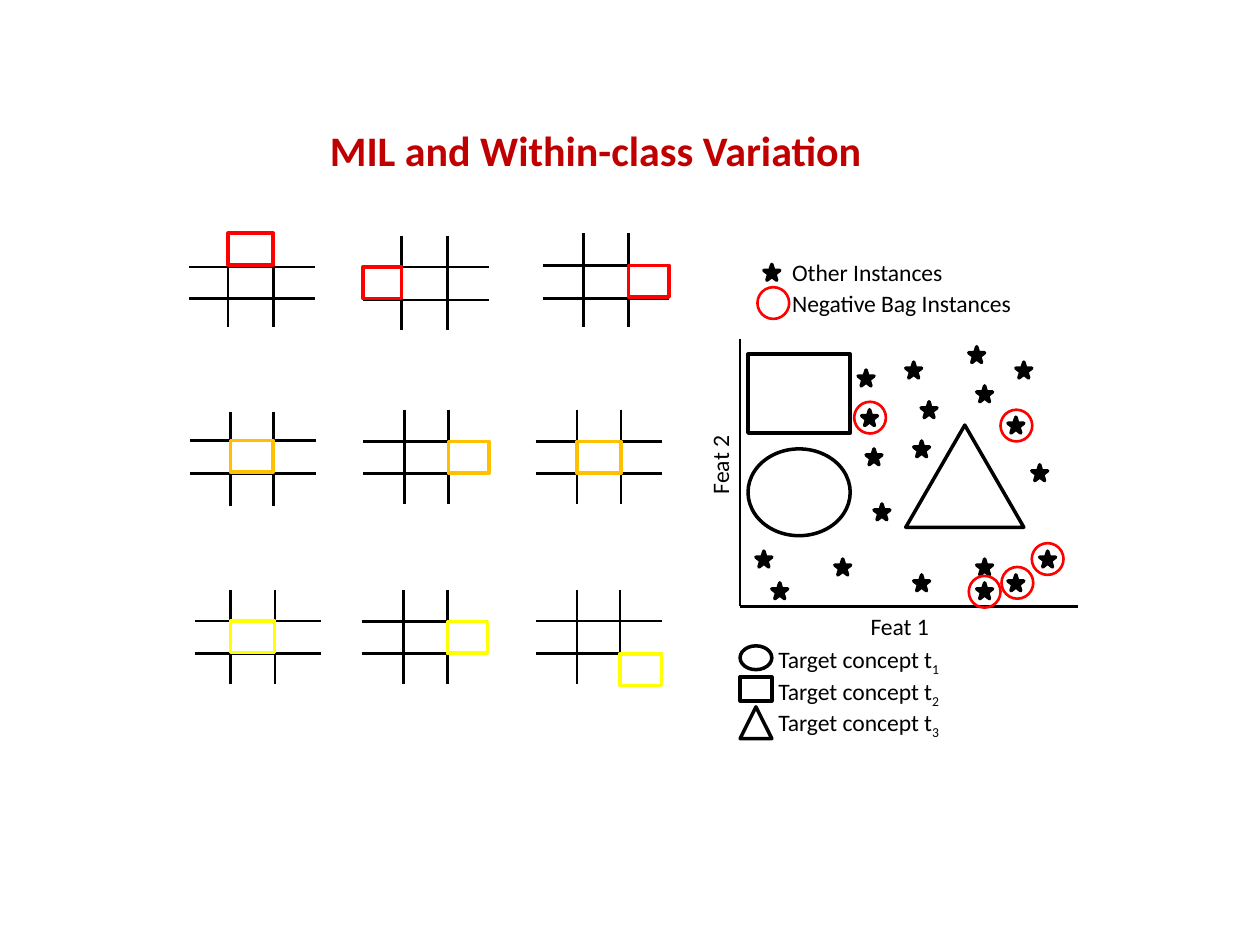
"""Build the slide on multiple instance learning and within-class variation."""
from lxml.etree import SubElement
from pptx import Presentation
from pptx.dml.color import RGBColor
from pptx.enum.shapes import MSO_CONNECTOR, MSO_SHAPE
from pptx.enum.text import MSO_ANCHOR, MSO_AUTO_SIZE, PP_ALIGN
from pptx.oxml.ns import qn
from pptx.util import Cm, Pt

BLACK, RED, ORANGE, YELLOW = "000000", "FF0000", "FFC000", "FFFF00"
STAR_SIZE, RING_SIZE = 0.32, 0.64
GRID_WIDTH, GRID_HEIGHT, CELL_HEIGHT = 2.54, 1.9, 0.64

# left, top, vertical bars, horizontal bars, marked column and row, colour
GRIDS = [
    (3.81, 4.7, (4.6, 5.51), (5.38, 6.02), 1, 0, RED),
    (7.32, 4.75, (8.1, 9.02), (5.38, 6.05), 0, 1, RED),
    (10.95, 4.7, (11.76, 12.67), (5.35, 6.02), 2, 1, RED),
    (3.84, 8.31, (4.65, 5.51), (8.88, 9.55), 1, 1, ORANGE),
    (7.32, 8.26, (8.15, 9.04), (8.9, 9.55), 2, 1, ORANGE),
    (10.8, 8.26, (11.63, 12.52), (8.9, 9.55), 1, 1, ORANGE),
    (3.94, 11.89, (4.65, 5.54), (12.52, 13.18), 1, 1, YELLOW),
    (7.29, 11.89, (8.13, 9.02), (12.53, 13.18), 2, 1, YELLOW),
    (10.8, 11.89, (11.63, 12.5), (12.52, 13.18), 2, 2, YELLOW),
]
STARS = [
    (15.4, 5.33), (17.3, 7.46), (17.62, 10.16), (19.53, 6.99), (15.56, 11.75),
    (18.42, 11.59), (20.32, 8.41), (18.57, 8.1), (17.46, 9.05), (16.83, 11.27),
    (20.32, 11.59), (18.26, 7.3), (19.69, 11.75), (20.96, 11.11),
    (19.69, 11.27), (20.48, 7.3), (19.69, 7.78), (20.8, 9.37), (18.42, 8.89),
    (15.24, 11.11), (17.37, 8.26),
]
RINGS = [(17.22, 8.1), (19.53, 11.61), (20.17, 8.26), (20.8, 10.95),
         (20.19, 11.43), (15.27, 5.79)]
CONCEPTS = [
    (MSO_SHAPE.OVAL, (15.08, 9.05, 2.06, 1.75)),
    (MSO_SHAPE.RECTANGLE, (15.08, 7.14, 2.06, 1.59)),
    (MSO_SHAPE.ISOSCELES_TRIANGLE, (18.26, 8.57, 2.38, 2.06)),
]
CONCEPT_KEYS = [(13.02, 0.48), (13.65, 0.48), (14.25, 0.64)]
LABELS = [
    ("Other Instances", 15.72, 5.08, 3.58, 0),
    ("Negative Bag Instances", 15.72, 5.69, 5, 0),
    ("Feat 1", 17.3, 12.22, 1.7, 0),
    ("Feat 2", 13.67, 8.94, 1.7, 270),
]


def colour(hex_string):
    return RGBColor.from_string(hex_string)


def write(paragraph, text, size=13.5, color=BLACK, bold=False, baseline=0):
    run = paragraph.add_run()
    run.text = text
    run.font.name = "Calibri"
    run.font.size = Pt(size)
    run.font.bold = bold
    run.font.color.rgb = colour(color)
    if baseline:
        run._r.get_or_add_rPr().set("baseline", str(baseline * 1000))


class Painter:
    def __init__(self, slide):
        self.slide = slide

    def title(self, text):
        shape = self.slide.shapes.title
        shape.left, shape.top = Cm(4.39), Cm(2.39)
        shape.width, shape.height = Cm(15.24), Cm(1.27)
        shape.fill.solid()
        shape.fill.fore_color.rgb = colour("FFFFFF")
        shape.text_frame.vertical_anchor = MSO_ANCHOR.MIDDLE
        paragraph = shape.text_frame.paragraphs[0]
        paragraph.alignment = PP_ALIGN.CENTER
        write(paragraph, text, size=24, color="C00000", bold=True)

    def line(self, x1, y1, x2, y2):
        connector = self.slide.shapes.add_connector(
            MSO_CONNECTOR.STRAIGHT, Cm(x1), Cm(y1), Cm(x2), Cm(y2))
        connector.line.color.rgb = colour(BLACK)
        connector.line.width = Pt(1.5)
        SubElement(connector._element.spPr, qn("a:effectLst"))

    def shape(self, kind, left, top, width, height, color=BLACK, weight=2, fill=None):
        shape = self.slide.shapes.add_shape(
            kind, Cm(left), Cm(top), Cm(width), Cm(height))
        shape.shadow.inherit = False
        shape.line.color.rgb = colour(color)
        shape.line.width = Pt(weight)
        if fill:
            shape.fill.solid()
            shape.fill.fore_color.rgb = colour(fill)
        else:
            shape.fill.background()

    def label(self, text, left, top, width, rotation=0, subscript=""):
        shape = self.slide.shapes.add_textbox(
            Cm(left), Cm(top), Cm(width), Cm(0.84))
        shape.rotation = rotation
        shape.text_frame.word_wrap = False
        shape.text_frame.auto_size = MSO_AUTO_SIZE.SHAPE_TO_FIT_TEXT
        paragraph = shape.text_frame.paragraphs[0]
        write(paragraph, text)
        if subscript:
            write(paragraph, subscript, baseline=-25)

    def grid(self, left, top, verticals, horizontals, column, row, color):
        right = left + GRID_WIDTH
        for x in verticals:
            self.line(x, top, x, top + GRID_HEIGHT)
        for y in horizontals:
            self.line(left, y, right, y)
        edges = (left, *verticals, right)
        cell_top = (top, *horizontals)[row]
        self.shape(MSO_SHAPE.RECTANGLE, edges[column], cell_top,
                   edges[column + 1] - edges[column], CELL_HEIGHT, color)


def main():
    presentation = Presentation()
    presentation.slide_width, presentation.slide_height = Cm(25.4), Cm(19.05)
    painter = Painter(presentation.slides.add_slide(presentation.slide_layouts[5]))
    painter.title("MIL and Within-class Variation")
    for grid in GRIDS:
        painter.grid(*grid)
    painter.line(14.92, 6.83, 14.92, 12.22)
    painter.line(14.92, 12.22, 21.74, 12.22)
    for index, (kind, place) in enumerate(CONCEPTS):
        painter.shape(kind, *place)
        key_top, key_height = CONCEPT_KEYS[index]
        painter.shape(kind, 14.92, key_top, 0.64, key_height)
        painter.label("Target concept t", 15.44, 12.88 + 0.635 * index, 3.84,
                      subscript=str(index + 1))
    for left, top in STARS:
        painter.shape(MSO_SHAPE.STAR_5_POINT, left, top, STAR_SIZE, STAR_SIZE, fill=BLACK)
    for left, top in RINGS:
        painter.shape(MSO_SHAPE.OVAL, left, top, RING_SIZE, RING_SIZE, RED, 1.5)
    for label in LABELS:
        painter.label(*label)
    presentation.save("out.pptx")


if __name__ == "__main__":
    main()
